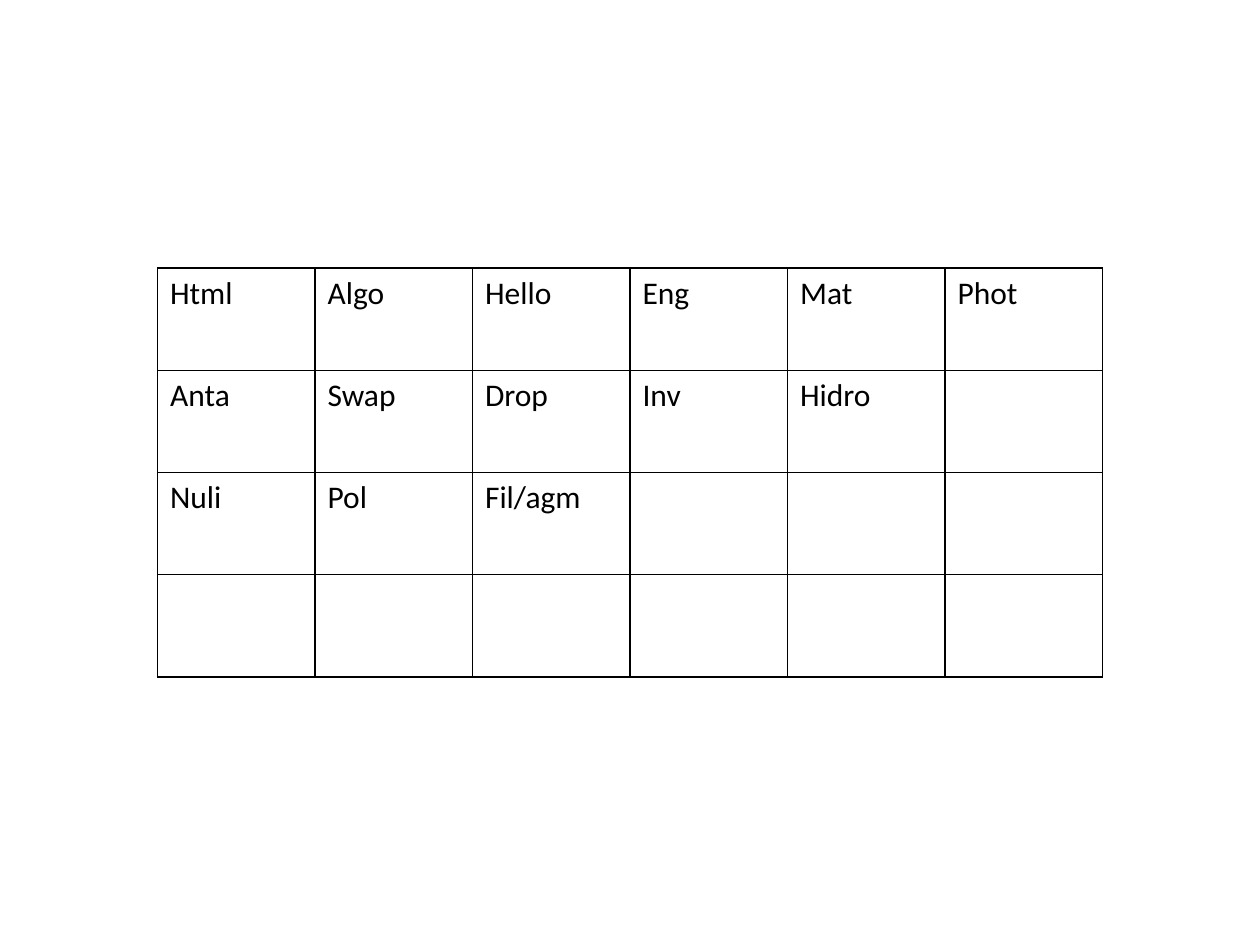
from lxml.etree import SubElement
from pptx import Presentation
from pptx.dml.color import RGBColor
from pptx.oxml.ns import qn
from pptx.util import Pt

BLACK = RGBColor(0, 0, 0)
FONT = "Calibri"
COLS = 6
ROWS = [
    ["Html", "Algo", "Hello", "Eng", "Mat", "Phot"],
    ["Anta", "Swap", "Drop", "Inv", "Hidro"],
    ["Nuli", "Pol", "Fil/agm"],
    [],
]


def put_text(frame, text, size=18, color=BLACK, bold=False):
    para = frame.paragraphs[0]
    font = para.font
    if text:
        run = para.add_run()
        run.text = text
        font = run.font
    font.name, font.size, font.bold = FONT, Pt(size), bold
    font.color.rgb = color


def add_edges(cell, width=1, color=BLACK):
    props = cell._tc.get_or_add_tcPr()
    for side in ("lnL", "lnR", "lnT", "lnB"):
        line = SubElement(props, qn("a:" + side), w=str(Pt(width)))
        fill = SubElement(line, qn("a:solidFill"))
        SubElement(fill, qn("a:srgbClr"), val=str(color))


def add_grid(slide, left, top, width, height):
    frame = slide.shapes.add_table(
        len(ROWS), COLS, Pt(left), Pt(top), Pt(width), Pt(height))
    table = frame.table
    table.first_row = table.horz_banding = False
    for col in table.columns:
        col.width = Pt(width / COLS)
    for row, words in zip(table.rows, ROWS):
        row.height = Pt(height / len(ROWS))
        for i, cell in enumerate(row.cells):
            add_edges(cell)
            cell.fill.background()
            put_text(cell.text_frame, words[i] if i < len(words) else "")


# Slide
deck = Presentation()
deck.slide_width, deck.slide_height = Pt(720), Pt(540)
slide = deck.slides.add_slide(deck.slide_layouts[6])

# Word table
add_grid(slide, 90, 153.2, 540, 233.6)

deck.save("out.pptx")
